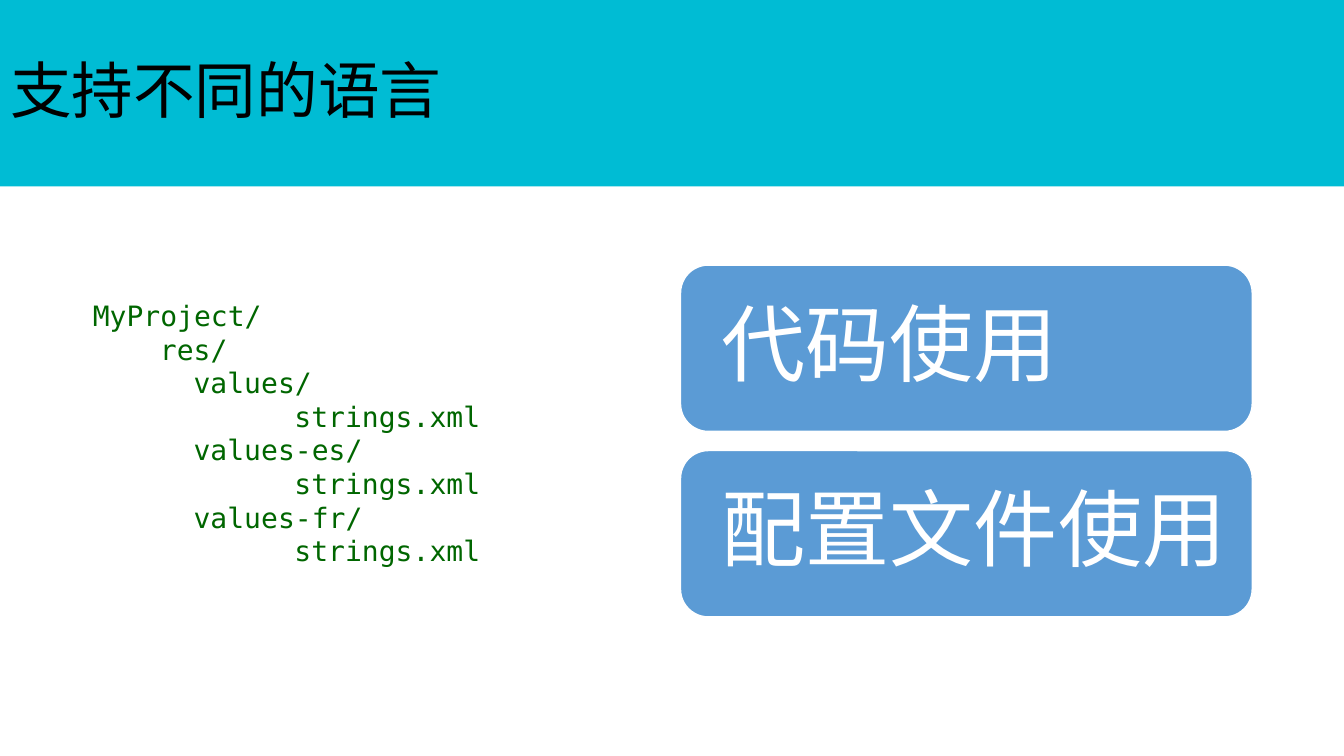
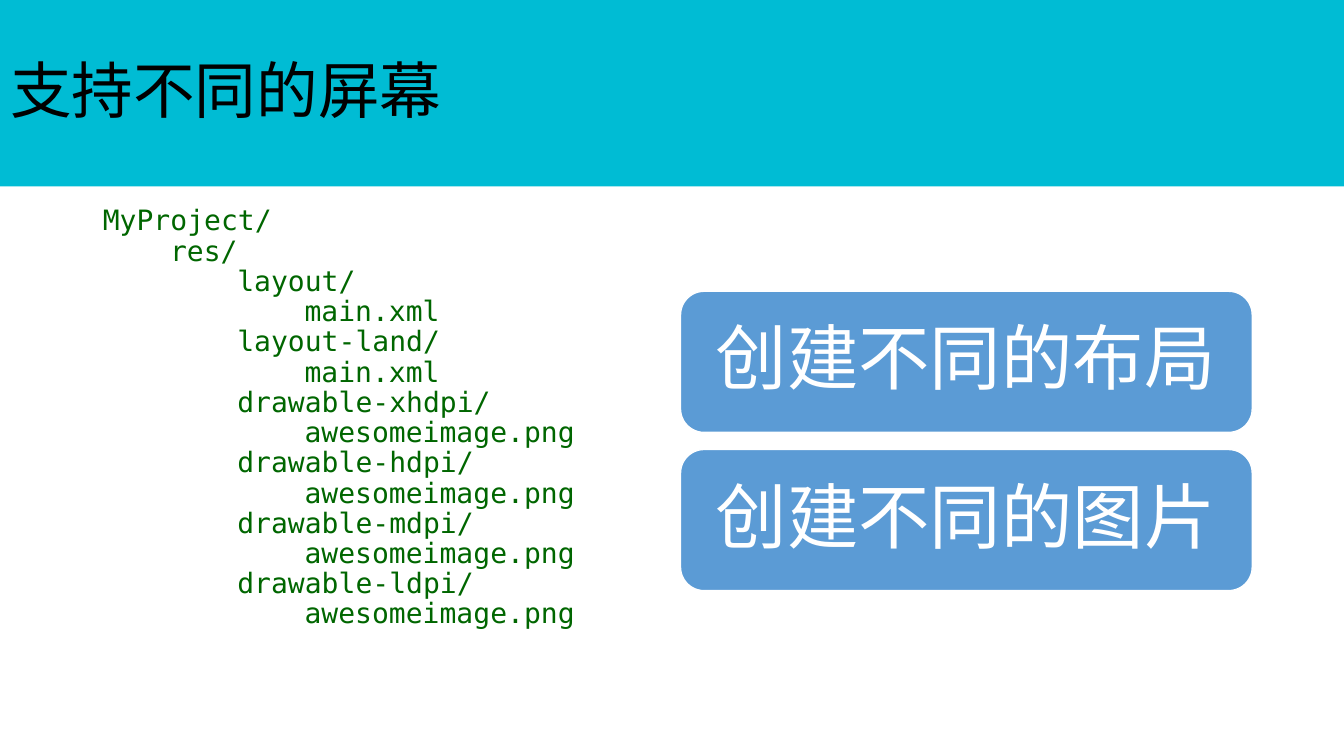
"""Build two slides: a project tree on the left and two cards on the right."""
from pptx import Presentation
from pptx import util as u
from pptx.dml.color import RGBColor
from pptx.enum import shapes, text
from pptx.oxml.ns import qn
from lxml import etree

CYAN, BLUE, GREEN, WHITE, BLACK = "00BCD4", "5B9BD5", "006600", "FFFFFF", "000000"
CHAR_WIDTH = 1 / 6
CARD_LEFT, CARD_WIDTH, CARDS_MIDDLE = 6.75, 5.67, 4.375

SLIDES = [
    {
        "title": "支持不同的语言",
        "tree": [(0, "MyProject/"), (4, "res/"),
                 (6, "values/"), (12, "strings.xml"),
                 (6, "values-es/"), (12, "strings.xml"),
                 (6, "values-fr/"), (12, "strings.xml")],
        "tree_frame": {"vertical_anchor": text.MSO_ANCHOR.MIDDLE,
                       "margin_left": 0, "margin_right": 0,
                       "margin_top": 0, "margin_bottom": u.Inches(0.17)},
        "tree_spacing": 1.0,
        "cards": ["代码使用", "配置文件使用"],
        "card": {"size": 60, "height": 1.65, "gap": 0.19, "inset": 0.33},
    },
    {
        "title": "支持不同的屏幕",
        "tree": [(0, "MyProject/"), (4, "res/"),
                 (8, "layout/"), (12, "main.xml"),
                 (8, "layout-land/"), (12, "main.xml"),
                 (8, "drawable-xhdpi/"), (12, "awesomeimage.png"),
                 (8, "drawable-hdpi/"), (12, "awesomeimage.png"),
                 (8, "drawable-mdpi/"), (12, "awesomeimage.png"),
                 (8, "drawable-ldpi/"), (12, "awesomeimage.png")],
        "tree_frame": {"vertical_anchor": text.MSO_ANCHOR.TOP},
        "tree_spacing": 0.9,
        "cards": ["创建不同的布局", "创建不同的图片"],
        "card": {"size": 51, "height": 1.4, "gap": 0.17, "inset": 0.28},
    },
]


def color(value):
    return RGBColor.from_string(value)


def assign(obj, values):
    for name, value in values.items():
        setattr(obj, name, value)


def place(sp, *box):
    assign(sp, dict(zip(("left", "top", "width", "height"), map(u.Inches, box))))


def paint(sp, value):
    sp.fill.solid()
    sp.fill.fore_color.rgb = color(value)


def set_frame(sp, **values):
    assign(sp.text_frame, {"word_wrap": True, "auto_size": text.MSO_AUTO_SIZE.NONE,
                           "vertical_anchor": text.MSO_ANCHOR.MIDDLE, **values})


def write(p, words, font, size, ink, spacing=0.9):
    assign(p, {"alignment": text.PP_ALIGN.LEFT, "line_spacing": spacing,
               "space_before": u.Pt(0), "space_after": u.Pt(0)})
    r = p.add_run()
    r.text = words
    assign(r.font, {"name": font, "size": u.Pt(size)})
    r.font.color.rgb = color(ink)


def add_title(s, words):
    sp = s.shapes.title
    place(sp, 0, 0, 13.33, 1.85)
    paint(sp, CYAN)
    set_frame(sp)
    write(sp.text_frame.paragraphs[0], words, "Montserrat", 44, BLACK)


def add_tree(s, lines, frame, spacing):
    sp = s.placeholders[1]
    place(sp, 0.92, 2, 5.67, 4.76)
    set_frame(sp, **frame)
    tf = sp.text_frame
    for i, (indent, words) in enumerate(lines):
        p = tf.add_paragraph() if i else tf.paragraphs[0]
        write(p, words, "DejaVu Sans Mono", 20, GREEN, spacing)
        pPr = p._p.get_or_add_pPr()
        pPr.set("marL", str(u.Inches(indent * CHAR_WIDTH)))
        pPr.set("indent", "0")
        etree.SubElement(pPr, qn("a:buNone"))


def add_cards(s, labels, size, height, gap, inset):
    pitch = height + gap
    top = CARDS_MIDDLE - (len(labels) * pitch - gap) / 2
    for i, label in enumerate(labels):
        box = map(u.Inches, (CARD_LEFT, top + i * pitch, CARD_WIDTH, height))
        sp = s.shapes.add_shape(shapes.MSO_SHAPE.ROUNDED_RECTANGLE, *box)
        sp.shadow.inherit = False
        paint(sp, BLUE)
        sp.line.color.rgb = color(WHITE)
        sp.line.width = u.Pt(1)
        set_frame(sp, margin_left=u.Inches(inset))
        write(sp.text_frame.paragraphs[0], label, "Arial", size, WHITE)


def main():
    prs = Presentation()
    assign(prs, {"slide_width": u.Inches(13.33), "slide_height": u.Inches(7.5)})
    for content in SLIDES:
        s = prs.slides.add_slide(prs.slide_layouts[1])
        add_title(s, content["title"])
        add_tree(s, content["tree"], content["tree_frame"], content["tree_spacing"])
        add_cards(s, content["cards"], **content["card"])
    prs.save("out.pptx")


if __name__ == "__main__":
    main()
